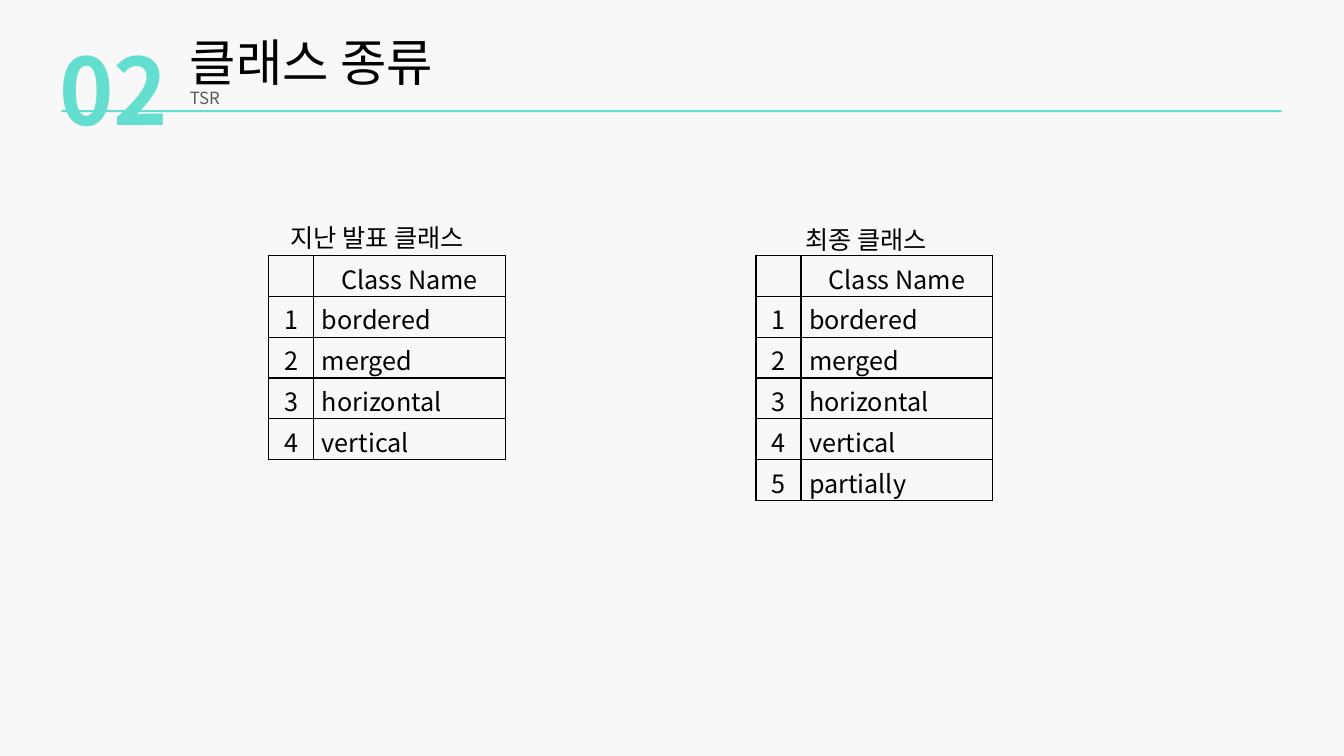
from lxml.etree import SubElement as Sub
from pptx import Presentation
from pptx.dml.color import RGBColor
from pptx.enum.shapes import MSO_SHAPE as Shape
from pptx.enum.text import MSO_ANCHOR as Anchor, MSO_AUTO_SIZE as Auto, PP_ALIGN as Align
from pptx.oxml.ns import qn
from pptx.util import Inches, Pt

WIDE, HIGH = Inches(13.333), Inches(7.5)
COLS, ROWS = 160, 90
FONT = "Noto Sans CJK KR"
TEAL, BLACK, GRAY, PAPER = "64DECF", "000000", "595959", "F8F8F8"
NAMES = ["bordered", "merged", "horizontal", "vertical", "partially"]


def color(code):
    """Turn a hex string into a colour."""
    return RGBColor.from_string(code)


def cells(left, top, width, height):
    """Turn grid columns and rows into slide lengths."""
    return (int(left * WIDE / COLS), int(top * HIGH / ROWS),
            int(width * WIDE / COLS), int(height * HIGH / ROWS))


def style(para, size, code=BLACK, lead=None, face=FONT, bold=False, align=Align.LEFT):
    """Set the font, line height and alignment of a paragraph."""
    font = para.font
    font.size, font.name, font.bold = Pt(size), face, bold
    font.color.rgb = color(code)
    para.alignment = align
    if lead:
        para.line_spacing = Pt(lead)


def label(slide, box, text, size, **look):
    """Add one line of unwrapped text."""
    frame = slide.shapes.add_textbox(*cells(*box)).text_frame
    frame.word_wrap = False
    para = frame.paragraphs[0]
    para.text = text
    style(para, size, **look)


def header(slide, box):
    """Place the rule, the title and the section number."""
    left, top, width, height = box
    rule = slide.shapes.add_shape(
        Shape.RECTANGLE, *cells(left + 1.4, top + 10.6, width - 1.4, 0.24))
    rule.shadow.inherit = False
    rule.fill.solid()
    rule.fill.fore_color.rgb = color(TEAL)
    rule.line.fill.background()

    title = slide.shapes.title
    title.left, title.top, title.width, title.height = cells(
        left + 15.5, top + 0.1, 58.6, 10.9)
    frame = title.text_frame
    frame.auto_size, frame.word_wrap = Auto.NONE, True
    frame.vertical_anchor = Anchor.TOP
    frame.text = "클래스 종류\nTSR"
    name, note = frame.paragraphs
    style(name, 36, lead=46, face="Arial")
    style(note, 12, code=GRAY, lead=11.5)

    label(slide, (left, top, 15.5, height), "02", 66, code=TEAL, lead=84, bold=True)


def border(cell):
    """Draw a thin black line on every side of a cell."""
    props = cell._tc.get_or_add_tcPr()
    for side in ("lnL", "lnR", "lnT", "lnB"):
        line = Sub(props, qn(f"a:{side}"), w=str(Pt(1)))
        Sub(Sub(line, qn("a:solidFill")), qn("a:srgbClr"), val=BLACK)


def fill(cell, text, align):
    """Write and format one table cell."""
    border(cell)
    cell.fill.background()
    cell.margin_left = cell.margin_right = Inches(0.08)
    cell.margin_top = cell.margin_bottom = 0
    cell.vertical_anchor = Anchor.BOTTOM
    cell.text = text
    style(cell.text_frame.paragraphs[0], 18, align=align)


def listing(slide, box, names, head, shift):
    """Place a caption and a numbered table of class names."""
    left, top, width, row = box
    dx, dy, wide = shift
    label(slide, (left + dx, top + dy, wide, 4.8), head, 18, lead=22.5)

    data = [("", "Class Name")] + [(str(n), name) for n, name in enumerate(names, 1)]
    spot = cells(left, top, width, row * len(data))
    table = slide.shapes.add_table(len(data), 2, *spot).table
    table.first_row = table.horz_banding = False
    first = int(spot[2] * 0.19)
    table.columns[0].width, table.columns[1].width = first, spot[2] - first
    for r, pair in enumerate(data):
        for c, text in enumerate(pair):
            mid = r == 0 or c == 0
            fill(table.cell(r, c), text, Align.CENTER if mid else Align.LEFT)


def main():
    """Build and save the slide."""
    deck = Presentation()
    deck.slide_width, deck.slide_height = WIDE, HIGH
    slide = deck.slides.add_slide(deck.slide_layouts.get_by_name("Title Only"))
    back = slide.background.fill
    back.solid()
    back.fore_color.rgb = color(PAPER)
    header(slide, (5.9, 2.5, 146.7, 14.5))
    listing(slide, (32, 30.4, 28.2, 4.87), NAMES[:4], "지난 발표 클래스", (1.4, -4.7, 25.8))
    listing(slide, (90, 30.4, 28.2, 4.87), NAMES, "최종 클래스", (4.7, -4.4, 18.6))
    deck.save("out.pptx")


if __name__ == "__main__":
    main()
